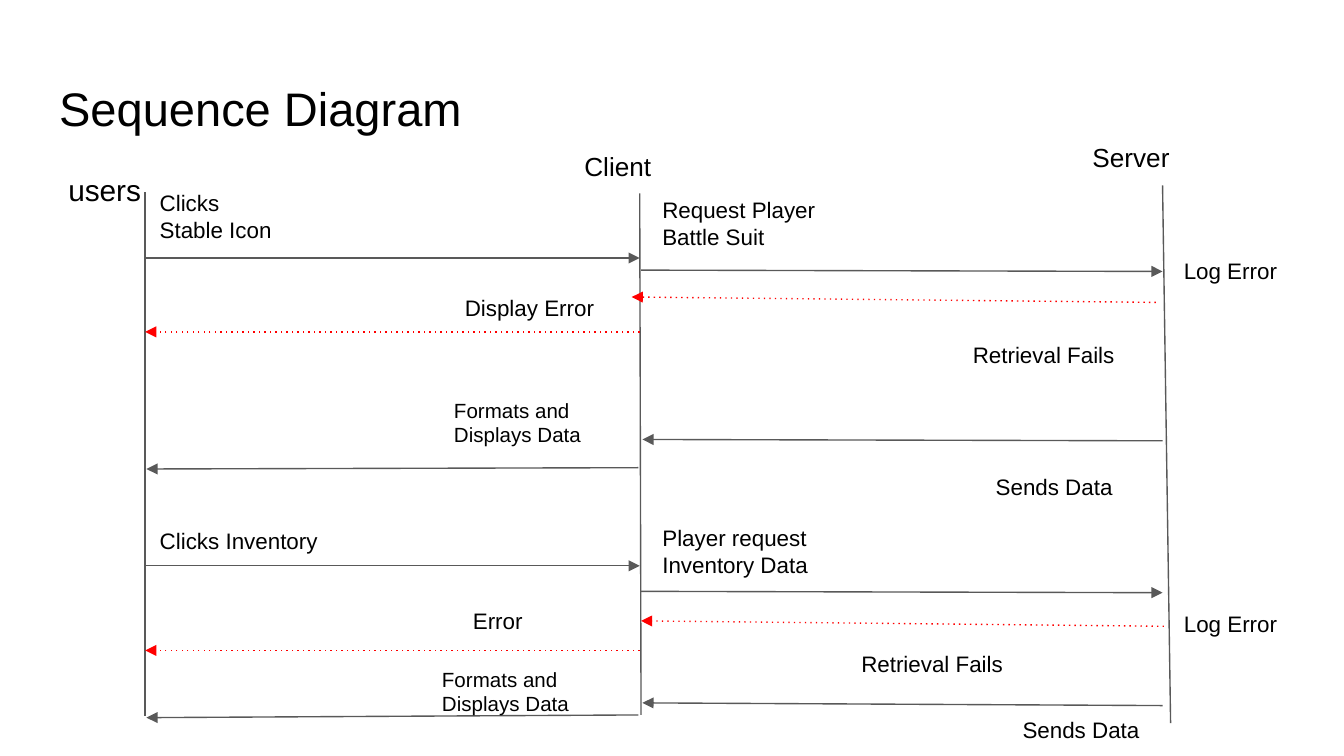
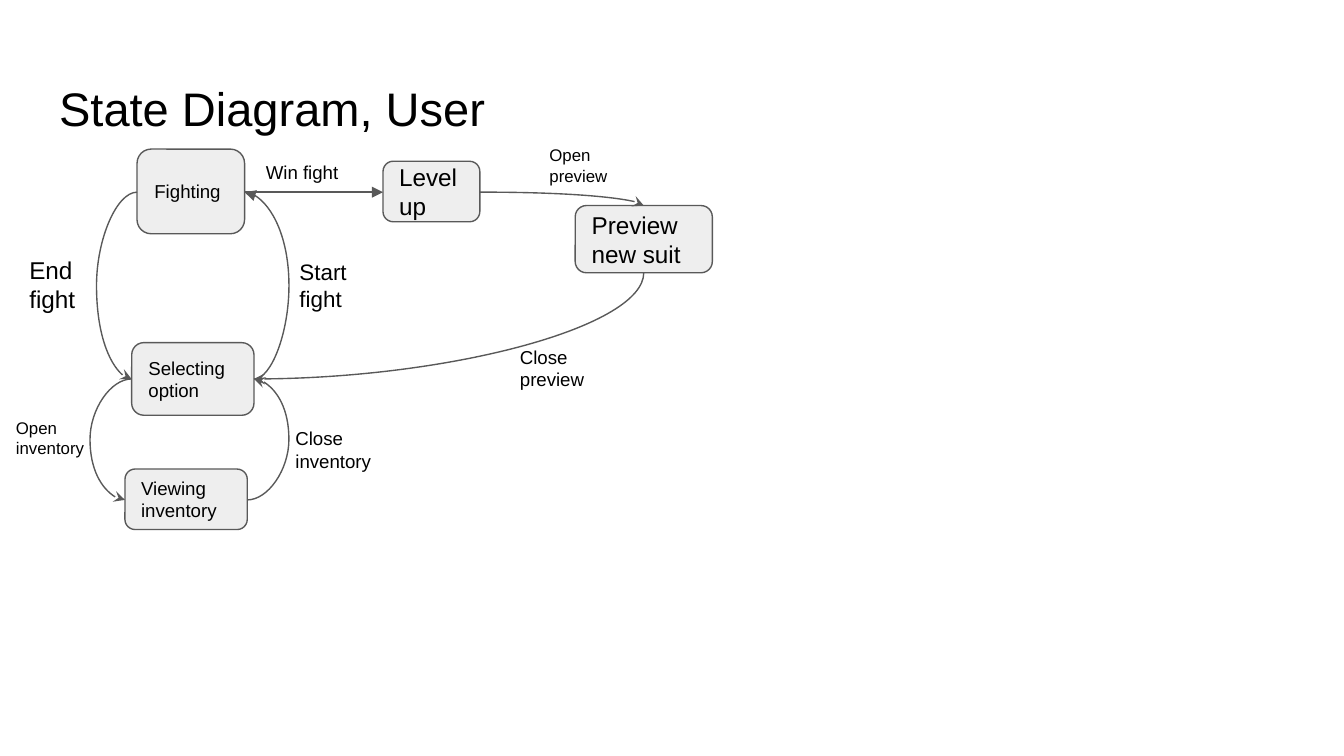
from dataclasses import dataclass

from lxml import etree
from pptx import Presentation
from pptx.dml.color import RGBColor
from pptx.enum.shapes import MSO_CONNECTOR, MSO_SHAPE
from pptx.enum.text import MSO_ANCHOR, MSO_AUTO_SIZE, PP_ALIGN
from pptx.oxml.ns import qn
from pptx.slide import Slide
from pptx.text.text import TextFrame
from pptx.util import Inches, Pt

BLACK = RGBColor(0x00, 0x00, 0x00)
WHITE = RGBColor(0xFF, 0xFF, 0xFF)
GRAY = RGBColor(0x59, 0x59, 0x59)
PALE = RGBColor(0xEE, 0xEE, 0xEE)
RED = RGBColor(0xFF, 0x00, 0x00)
FONT = "Arial"
PAD = Inches(0.1)
STROKE = Pt(0.75)

STRAIGHT, CURVE = MSO_CONNECTOR.STRAIGHT, MSO_CONNECTOR.CURVE
ROUND = MSO_SHAPE.ROUNDED_RECTANGLE
LEFT = PP_ALIGN.LEFT
TOP, MIDDLE = MSO_ANCHOR.TOP, MSO_ANCHOR.MIDDLE
FIT, FIXED = MSO_AUTO_SIZE.SHAPE_TO_FIT_TEXT, MSO_AUTO_SIZE.NONE


@dataclass
class Box:
    """A label or a state: text in a frame."""
    text: str
    x: float
    y: float
    w: float
    h: float
    size: float = 12


@dataclass
class Link:
    """A line; bulge is the x a C curve swings out to, bend makes a quarter curve."""
    x1: float
    y1: float
    x2: float
    y2: float
    head: str = ""
    tail: str = ""
    fail: bool = False
    bulge: float | None = None
    bend: bool = False


# Shared drawing
def write(frame: TextFrame, text: str, size: float, anchor: MSO_ANCHOR) -> None:
    frame.text = text
    frame.word_wrap = True
    frame.vertical_anchor = anchor
    frame.margin_left = frame.margin_right = PAD
    frame.margin_top = frame.margin_bottom = PAD
    para = frame.paragraphs[0]
    para.alignment = LEFT
    font = para.runs[0].font
    font.name, font.size = FONT, Pt(size)
    font.color.rgb = BLACK


def area(box: Box) -> list[int]:
    return [Inches(v) for v in (box.x, box.y, box.w, box.h)]


def label(slide: Slide, box: Box) -> None:
    frame = slide.shapes.add_textbox(*area(box)).text_frame
    write(frame, box.text, box.size, TOP)
    frame.auto_size = FIT


def state(slide: Slide, box: Box) -> None:
    shape = slide.shapes.add_shape(ROUND, *area(box))
    shape.shadow.inherit = False
    shape.fill.solid()
    shape.fill.fore_color.rgb = PALE
    shape.line.color.rgb = GRAY
    shape.line.width = STROKE
    write(shape.text_frame, box.text, box.size, MIDDLE)


def connect(slide: Slide, link: Link) -> None:
    curved = link.bend or link.bulge is not None
    ends = [Inches(v) for v in (link.x1, link.y1, link.x2, link.y2)]
    line = slide.shapes.add_connector(CURVE if curved else STRAIGHT, *ends)
    line.line.color.rgb = RED if link.fail else GRAY
    line.line.width = STROKE
    props = line._element.spPr
    geom = props.find(qn("a:prstGeom"))
    if link.bend:
        geom.set("prst", "curvedConnector2")
    elif link.bulge is not None:
        ratio = (link.bulge - link.x1) / (link.x2 - link.x1)
        guide = etree.SubElement(geom.find(qn("a:avLst")), qn("a:gd"))
        guide.set("name", "adj1")
        guide.set("fmla", f"val {round(ratio * 100000)}")
    stroke = props.find(qn("a:ln"))
    if link.fail:
        etree.SubElement(stroke, qn("a:prstDash")).set("val", "dot")
    for tag, kind in (("a:headEnd", link.head), ("a:tailEnd", link.tail)):
        if kind:
            etree.SubElement(stroke, qn(tag)).set("type", kind)
    etree.SubElement(props, qn("a:effectLst"))


def page(title: str) -> Slide:
    slide = deck.slides.add_slide(deck.slide_layouts[5])
    slide.background.fill.solid()
    slide.background.fill.fore_color.rgb = WHITE
    head = slide.shapes.title
    head.left, head.top, head.width, head.height = area(Box(title, 0.34, 0.49, 9.32, 0.63))
    write(head.text_frame, title, 25.2, MIDDLE)
    head.text_frame.auto_size = FIXED
    return slide


# A 16:9 page, ten inches wide
deck = Presentation()
deck.slide_width = Inches(10)
deck.slide_height = Inches(10 * 9 / 16)

# Slide 1: sequence diagram
USER, CLIENT, SERVER = 1.08, 4.76, 8.65
slide = page("Sequence Diagram")

LIVES = [
    Link(USER, 1.43, USER, 5.33),
    Link(CLIENT, 1.44, 4.77, 5.32),
    Link(SERVER, 1.38, 8.71, 5.38),
]
for life in LIVES:
    connect(slide, life)

# Messages as x1, y1, x2, y2
CALLS = [
    (USER, 1.92, CLIENT, 1.92),
    (4.77, 2.01, SERVER, 2.02),
    (SERVER, 3.28, 4.78, 3.27),
    (4.75, 3.48, 1.09, 3.49),
    (USER, 4.21, CLIENT, 4.21),
    (4.77, 4.4, SERVER, 4.41),
    (SERVER, 5.25, 4.78, 5.23),
    (4.75, 5.32, 1.09, 5.34),
]
FAILS = [
    (8.6, 2.25, 4.7, 2.21),
    (CLIENT, 2.47, USER, 2.47),
    (8.66, 4.66, 4.77, 4.62),
    (CLIENT, 4.84, USER, 4.84),
]
for group, fail in ((CALLS, False), (FAILS, True)):
    for ends in group:
        connect(slide, Link(*ends, tail="triangle", fail=fail))

NOTES = [
    Box("users", 0.41, 1.18, 1.13, 0.47, 16),
    Box("Client", 4.25, 1.02, 1.13, 0.44, 14),
    Box("Server", 8.03, 0.95, 1.01, 0.44, 14),
    Box("Clicks Stable Icon", 1.09, 1.31, 1.13, 0.61),
    Box("Request Player Battle Suit", 4.83, 1.36, 1.46, 0.61),
    Box("Log Error", 8.71, 1.81, 1.13, 0.4),
    Box("Display Error", 3.36, 2.09, 1.29, 0.4),
    Box("Retrieval Fails", 7.14, 2.44, 1.46, 0.4),
    Box("Formats and Displays Data", 3.28, 2.86, 1.46, 0.57, 11),
    Box("Sends Data", 7.31, 3.42, 1.29, 0.4),
    Box("Clicks Inventory", 1.09, 3.82, 1.52, 0.4),
    Box("Player request Inventory Data", 4.83, 3.8, 1.29, 0.61),
    Box("Error", 3.42, 4.42, 1.35, 0.4),
    Box("Log Error", 8.71, 4.44, 1.29, 0.4),
    Box("Retrieval Fails", 6.31, 4.74, 1.79, 0.4),
    Box("Formats and Displays Data", 3.19, 4.86, 1.46, 0.57, 11),
    Box("Sends Data", 7.51, 5.23, 1.29, 0.4),
]
for note in NOTES:
    label(slide, note)

# Slide 2: state diagram
slide = page("State Diagram, User")

STATES = [
    Box("Fighting", 1.02, 1.11, 0.8, 0.63, 10),
    Box("Selecting option", 0.98, 2.55, 0.91, 0.54, 10),
    Box("Viewing inventory", 0.93, 3.49, 0.91, 0.45, 10),
    Box("Level up", 2.85, 1.2, 0.72, 0.45, 13),
    Box("Preview new suit", 4.28, 1.53, 1.02, 0.5, 13),
]
for item in STATES:
    state(slide, item)

# Moves join the middles of the state edges
FIGHT, PICK, VIEW = 1.43, 2.82, 3.72
MOVES = [
    Link(1.82, FIGHT, 2.85, FIGHT, tail="triangle"),
    Link(1.82, FIGHT, 1.89, PICK, head="triangle", bulge=2.15),
    Link(1.02, FIGHT, 0.98, PICK, tail="stealth", bulge=0.72),
    Link(1.89, PICK, 1.84, VIEW, head="stealth", bulge=2.15),
    Link(0.98, PICK, 0.93, VIEW, tail="stealth", bulge=0.67),
    Link(3.57, FIGHT, 4.79, 1.53, tail="stealth", bend=True),
    Link(1.89, PICK, 4.79, 2.03, head="stealth", bend=True),
]
for move in MOVES:
    connect(slide, move)

EVENTS = [
    Box("Win fight", 1.88, 1.11, 0.91, 0.37, 10),
    Box("Open preview", 3.99, 0.98, 0.8, 0.5, 9),
    Box("Start fight", 2.13, 1.82, 0.72, 0.61),
    Box("End fight", 0.12, 1.8, 0.6, 0.64, 13),
    Box("Close preview", 3.77, 2.47, 0.91, 0.54, 10),
    Box("Open inventory", 0.02, 3.01, 0.8, 0.5, 9),
    Box("Close inventory", 2.1, 3.08, 0.8, 0.54, 10),
]
for event in EVENTS:
    label(slide, event)

deck.save("out.pptx")
